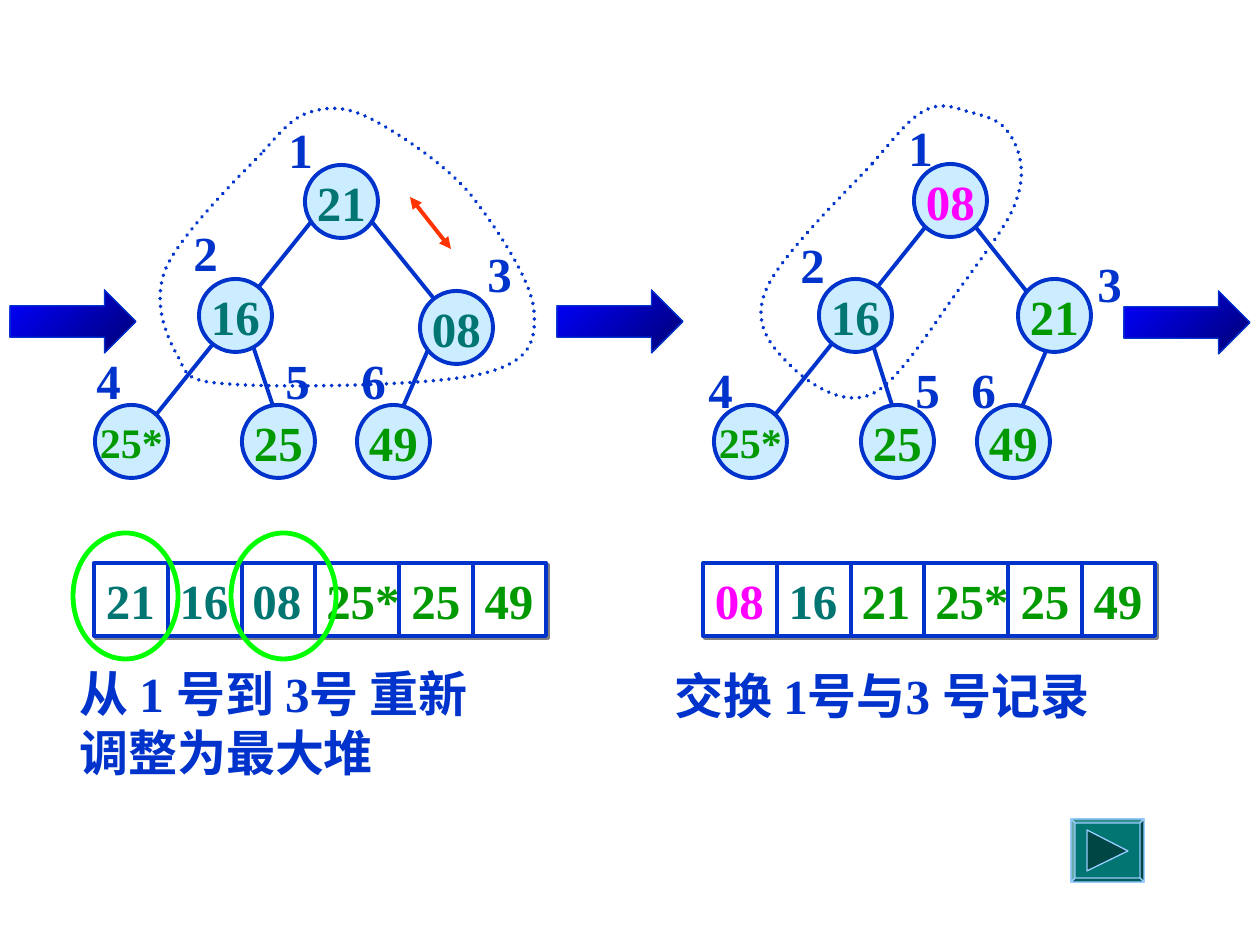
from lxml.etree import SubElement
from pptx import Presentation
from pptx.dml.color import RGBColor
from pptx.enum.dml import MSO_LINE
from pptx.enum.shapes import MSO_CONNECTOR, MSO_SHAPE
from pptx.enum.text import MSO_ANCHOR, MSO_AUTO_SIZE, PP_ALIGN
from pptx.oxml.ns import qn
from pptx.util import Pt

SCALE = 914400 / 126
FONT = "Times New Roman"
COLORS = {
    "blue": "0033CC", "sky": "CCECFF", "teal": "007572", "green": "009900",
    "magenta": "FF00FF", "red": "FF3300", "lime": "00FF00", "white": "FFFFFF",
    "bright": "0000FF", "navy": "000076", "gray": "808080", "pale": "99CCFF",
}
NODE = 73
DIVIDERS = [74, 148, 221, 305, 379]
VALUE_CENTERS = [110, 183, 269, 342, 415]
ROW_TOP, ROW_WIDTH, ROW_HEIGHT, ROW_INSET = 563, 452, 73, 12

LEFT_TREE = {
    "edges": [(431, 343, 399, 416), (252, 343, 273, 406),
              (368, 217, 452, 321), (315, 217, 147, 426)],
    "outline": [(261, 154), (236, 179), (180, 236), (166, 268),
                (152, 302), (166, 334), (176, 353),
                (188, 372), (179, 381), (229, 384),
                (280, 388), (431, 386), (481, 374),
                (532, 362), (536, 340), (534, 311),
                (532, 281), (496, 227), (471, 195),
                (445, 164), (402, 136), (377, 122),
                (350, 107), (333, 106), (314, 111),
                (294, 116), (285, 127), (261, 154)],
    "nodes": [("21", "teal", 305, 165), ("16", "teal", 199, 279),
              ("08", "teal", 420, 291), ("25*", "green", 95, 405),
              ("25", "green", 242, 405), ("49", "green", 357, 405)],
    "labels": [(276, 113), (181, 216), (475, 237),
               (84, 344), (273, 344), (349, 344)],
}
RIGHT_TREE = {
    "edges": [(1050, 342, 1018, 416), (966, 215, 1050, 321),
              (872, 342, 892, 405), (935, 215, 766, 426)],
    "outline": [(872, 164), (845, 193), (780, 256), (766, 290),
                (752, 323), (770, 345), (788, 363),
                (805, 381), (842, 408), (872, 394),
                (901, 381), (941, 312), (966, 280),
                (990, 246), (1012, 219), (1018, 195),
                (1026, 170), (1019, 146), (1008, 132),
                (999, 118), (980, 115), (966, 111),
                (953, 107), (940, 102), (924, 111),
                (908, 120), (898, 134), (872, 164)],
    "nodes": [("08", "magenta", 914, 164), ("16", "teal", 819, 279),
              ("21", "green", 1018, 279), ("25*", "green", 714, 405),
              ("25", "green", 861, 405), ("49", "green", 977, 405)],
    "labels": [(896, 111), (788, 228), (1085, 247),
               (696, 353), (903, 353), (959, 353)],
}


def px(length):
    return round(length * SCALE)


def rgb(name):
    return RGBColor.from_string(COLORS[name])


def paint(shape, fill, line, width=2.25):
    shape.shadow.inherit = False
    if fill:
        shape.fill.solid()
        shape.fill.fore_color.rgb = rgb(fill)
    else:
        shape.fill.background()
    shape.line.color.rgb = rgb(line)
    shape.line.width = Pt(width)
    return shape


def add_preset(page, kind, at, fill, line, width=2.25):
    shape = page.shapes.add_shape(kind, *map(px, at))
    return paint(shape, fill, line, width)


def add_span(para, text, color, size=28):
    span = para.add_run()
    span.text = text
    span.font.name = FONT
    span.font.size = Pt(size)
    span.font.bold = True
    span.font.color.rgb = rgb(color)


def add_text(page, at, lines):
    box = page.shapes.add_textbox(*map(px, at))
    frame = box.text_frame
    frame.word_wrap = False
    frame.auto_size = MSO_AUTO_SIZE.SHAPE_TO_FIT_TEXT
    for index, line in enumerate(lines):
        para = frame.add_paragraph() if index else frame.paragraphs[0]
        add_span(para, line, "blue")


def add_line(page, ends, color="blue", double_headed=False):
    connector = page.shapes.add_connector(MSO_CONNECTOR.STRAIGHT, *map(px, ends))
    connector.line.color.rgb = rgb(color)
    connector.line.width = Pt(2.25)
    if double_headed:
        outline = connector.line._get_or_add_ln()
        for end in ("a:headEnd", "a:tailEnd"):
            SubElement(outline, qn(end), type="triangle")
    SubElement(connector._element.spPr, qn("a:effectLst"))


def add_node(page, text, color, left, top):
    node = add_preset(page, MSO_SHAPE.OVAL, (left, top, NODE, NODE), "sky", "blue")
    frame = node.text_frame
    frame.word_wrap = False
    frame.vertical_anchor = MSO_ANCHOR.MIDDLE
    para = frame.paragraphs[0]
    para.alignment = PP_ALIGN.CENTER
    add_span(para, text, color, 24 if len(text) > 2 else 28)


def add_outline(page, points):
    builder = page.shapes.build_freeform(*points[0], scale=SCALE)
    builder.add_line_segments(points[1:], close=True)
    shape = paint(builder.convert_to_shape(), None, "blue")
    shape.line.dash_style = MSO_LINE.ROUND_DOT
    shape.line._get_or_add_ln().set("cap", "rnd")
    geometry = next(shape._element.iter(qn("a:path")))
    segments = geometry.findall(qn("a:lnTo"))
    for first in range(0, len(points) - 1, 3):
        controls = segments[first:first + 3]
        curve = SubElement(geometry, qn("a:cubicBezTo"))
        controls[0].addprevious(curve)
        for segment in controls:
            curve.append(segment[0])
            geometry.remove(segment)


def add_tree(page, tree):
    for edge in tree["edges"]:
        add_line(page, edge)
    for node in tree["nodes"]:
        add_node(page, *node)
    for number, (left, top) in enumerate(tree["labels"], 1):
        add_text(page, (left, top, 49, 72), [str(number)])
    add_outline(page, tree["outline"])


def add_row(page, left, values):
    row = add_preset(page, MSO_SHAPE.RECTANGLE,
                     (left, ROW_TOP, ROW_WIDTH, ROW_HEIGHT), "white", "blue")
    effects = row._element.spPr.find(qn("a:effectLst"))
    shadow = SubElement(effects, qn("a:outerShdw"), dist=str(Pt(1.4)), dir="2700000")
    SubElement(shadow, qn("a:srgbClr"), val=COLORS["gray"])
    frame = row.text_frame
    frame.word_wrap = True
    frame.vertical_anchor = MSO_ANCHOR.MIDDLE
    frame.margin_left, frame.margin_right = px(ROW_INSET), 0
    para = frame.paragraphs[0]
    para.alignment = PP_ALIGN.LEFT
    tabs = SubElement(para._p.get_or_add_pPr(), qn("a:tabLst"))
    for center in VALUE_CENTERS:
        SubElement(tabs, qn("a:tab"), pos=str(px(center - ROW_INSET)), algn="ctr")
    for index, (text, color) in enumerate(values):
        add_span(para, "\t" + text if index else text, color)
    for offset in DIVIDERS:
        add_line(page, (left + offset, ROW_TOP, left + offset, ROW_TOP + ROW_HEIGHT))


def add_step_arrow(page, left, top):
    arrow = add_preset(page, MSO_SHAPE.RIGHT_ARROW, (left, top, 126, 63), None, "blue", 0.75)
    arrow.fill.gradient()
    arrow.fill.gradient_angle = 315
    for stop, color, position in zip(arrow.fill.gradient_stops, ("bright", "navy"), (0, 1)):
        stop.color.rgb = rgb(color)
        stop.position = position


def add_next_button(page, left, top, width, height, rim):
    right, bottom = left + width, top + height
    outer = [(left, top), (right, top), (right, bottom), (left, bottom)]
    inner = [(left + rim, top + rim), (right - rim, top + rim),
             (right - rim, bottom - rim), (left + rim, bottom - rim)]
    faces = [outer]
    for side in range(4):
        after = (side + 1) % 4
        faces.append([outer[side], outer[after], inner[after], inner[side]])
    faces.append([(left + 16, top + 11), (left + 57, top + 32), (left + 16, top + 52)])
    shades = ["norm", "lightenLess", "darken", "darkenLess", "lighten", "darken"]

    builder = page.shapes.build_freeform(*outer[0], scale=SCALE)
    for face in faces:
        if face is not outer:
            builder.move_to(*face[0])
        builder.add_line_segments(face[1:], close=True)
    button = paint(builder.convert_to_shape(), "teal", "pale", 0.75)
    whole = next(button._element.iter(qn("a:path")))
    paths = whole.getparent()
    for step in list(whole):
        if step.tag == qn("a:moveTo"):
            face_path = SubElement(paths, qn("a:path"), dict(whole.attrib))
            face_path.set("fill", shades[len(paths) - 2])
        face_path.append(step)
    paths.remove(whole)


def main():
    deck = Presentation()
    deck.slide_width, deck.slide_height = px(1260), px(945)
    page = deck.slides.add_slide(deck.slide_layouts[6])

    for tree, left in ((RIGHT_TREE, 703), (LEFT_TREE, 94)):
        add_row(page, left, [node[:2] for node in tree["nodes"]])
        add_tree(page, tree)
    for left, top in ((557, 290), (10, 290), (1124, 291)):
        add_step_arrow(page, left, top)
    add_line(page, (410, 197, 451, 249), "red", double_headed=True)
    for left in (73, 231):
        add_preset(page, MSO_SHAPE.OVAL, (left, 533, 105, 126), None, "lime", 2.75)
    add_text(page, (67, 657, 515, 131), ["从 1 号到 3号 重新", "调整为最大堆"])
    add_text(page, (662, 659, 505, 72), ["交换 1号与3 号记录"])
    add_next_button(page, 1071, 819, 73, 63, 4)

    deck.save("out.pptx")


if __name__ == "__main__":
    main()
